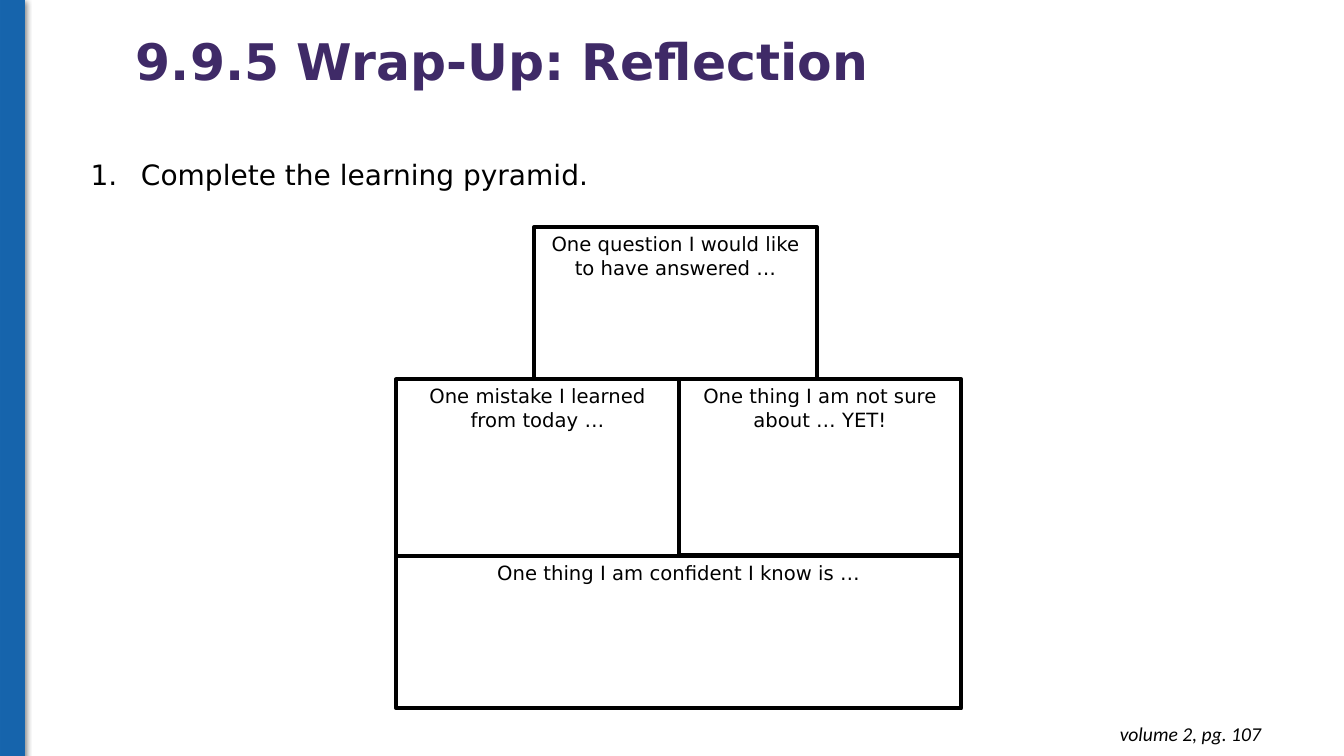
import pptx
import pptx.dml.color
import pptx.enum.shapes
import pptx.enum.text
import pptx.oxml
import pptx.util
from pptx.oxml.ns import nsdecls

Pt = pptx.util.Pt
ALIGN = pptx.enum.text.PP_ALIGN
ANCHOR = pptx.enum.text.MSO_ANCHOR
RECTANGLE = pptx.enum.shapes.MSO_SHAPE.RECTANGLE
COLORS = {"bar": "1664AC", "bar_line": "1765AD", "title": "3F2A67",
          "text": "000000", "block": "FFFFFF"}
BODY_FONT = "DejaVu Sans"


def color(name):
    return pptx.dml.color.RGBColor.from_string(COLORS[name])


def write(shape, text, size, name=BODY_FONT, tint="text", align=ALIGN.LEFT,
          anchor=ANCHOR.TOP, inset=3.6):
    frame = shape.text_frame
    frame.word_wrap = True
    frame.vertical_anchor = anchor
    frame.margin_left = frame.margin_right = Pt(7.2)
    frame.margin_top = frame.margin_bottom = Pt(inset)
    paragraph = frame.paragraphs[0]
    paragraph.text = text
    paragraph.alignment = align
    paragraph.font.name = name
    paragraph.font.size = Pt(size)
    paragraph.font.color.rgb = color(tint)
    return paragraph


def add_text(slide, box, text, size, **style):
    shape = slide.shapes.add_textbox(*map(Pt, box))
    return write(shape, text, size, **style)


def add_rectangle(shapes, box, fill, line, line_width):
    shape = shapes.add_shape(RECTANGLE, *map(Pt, box))
    shape.shadow.inherit = False
    shape.fill.solid()
    shape.fill.fore_color.rgb = color(fill)
    shape.line.color.rgb = color(line)
    shape.line.width = Pt(line_width)
    return shape


def add_side_bar(slide, box):
    bar = add_rectangle(slide.shapes, box, "bar", "bar_line", 0.75)
    effects = bar._element.spPr.find(pptx.oxml.ns.qn("a:effectLst"))
    effects.append(pptx.oxml.parse_xml(
        f'<a:outerShdw {nsdecls("a")} blurRad="{Pt(4.5)}" dist="{Pt(1.5)}" '
        'dir="5400000" rotWithShape="0"><a:srgbClr val="000000">'
        '<a:alpha val="50000"/></a:srgbClr></a:outerShdw>'))


def add_title(slide, box):
    paragraph = add_text(slide, box, "9.9.5 Wrap-Up: Reflection", 36,
                         tint="title", anchor=ANCHOR.MIDDLE)
    paragraph.line_spacing = 0.9
    paragraph.font.bold = True


def add_instruction(slide, box):
    paragraph = add_text(slide, box, "Complete the learning pyramid.", 20)
    properties = paragraph._p.get_or_add_pPr()
    properties.set("marL", str(Pt(36)))
    properties.set("indent", str(Pt(-36)))
    numbering = pptx.oxml.parse_xml(
        f'<a:buAutoNum {nsdecls("a")} type="arabicPeriod"/>')
    properties.insert_element_before(numbering, "a:tabLst", "a:defRPr", "a:extLst")


def add_pyramid(slide, box):
    left, top, width, height = box
    half = width / 2
    end_height = 108.8
    middle_height = height - 2 * end_height
    middle_top = top + end_height
    blocks = [
        ("One question I would like to have answered …",
         (left + 98.6, top, half, end_height)),
        ("One mistake I learned from today …",
         (left, middle_top, half, middle_height)),
        ("One thing I am not sure about … YET!",
         (left + half, middle_top, half, middle_height - 0.7)),
        ("One thing I am confident I know is …",
         (left, middle_top + middle_height, width, end_height)),
    ]
    group = slide.shapes.add_group_shape()
    for text, block_box in blocks:
        block = add_rectangle(group.shapes, block_box, "block", "text", 3)
        paragraph = write(block, text, 14, align=ALIGN.CENTER)
        paragraph.space_after = Pt(10)


def add_page_reference(slide, box):
    paragraph = add_text(slide, box, "volume 2, pg. 107", 14, name="Calibri",
                         align=ALIGN.RIGHT, inset=7.2)
    paragraph.font.italic = True


def main():
    presentation = pptx.Presentation()
    presentation.slide_width = Pt(960)
    presentation.slide_height = Pt(540)
    slide = presentation.slides.add_slide(presentation.slide_layouts[6])
    add_side_bar(slide, (0, 0, 17.5, 540.5))
    add_page_reference(slide, (700.6, 508.4, 207.4, 31.5))
    add_pyramid(slide, (283, 162.2, 403.6, 343.8))
    add_instruction(slide, (57.6, 108.7, 850.3, 31.5))
    add_title(slide, (90, 22.3, 840.2, 46.8))
    presentation.save("out.pptx")


if __name__ == "__main__":
    main()
